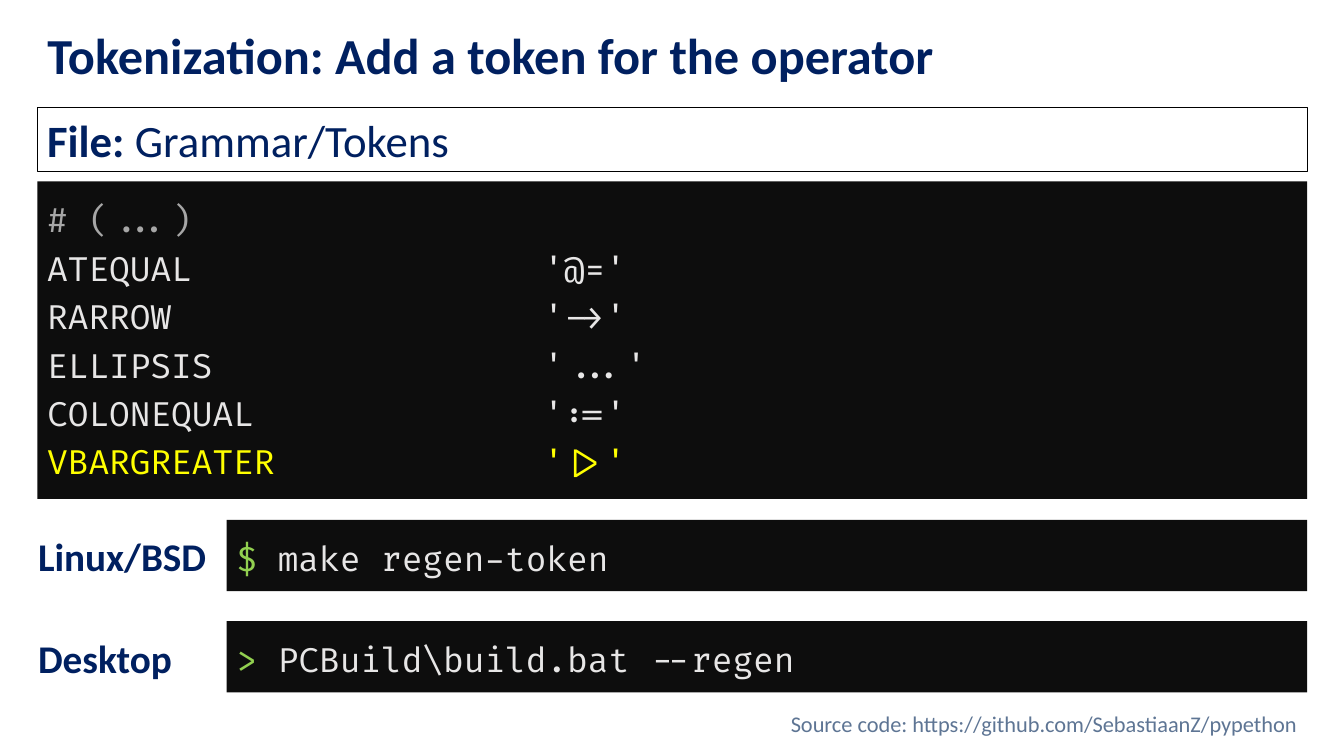
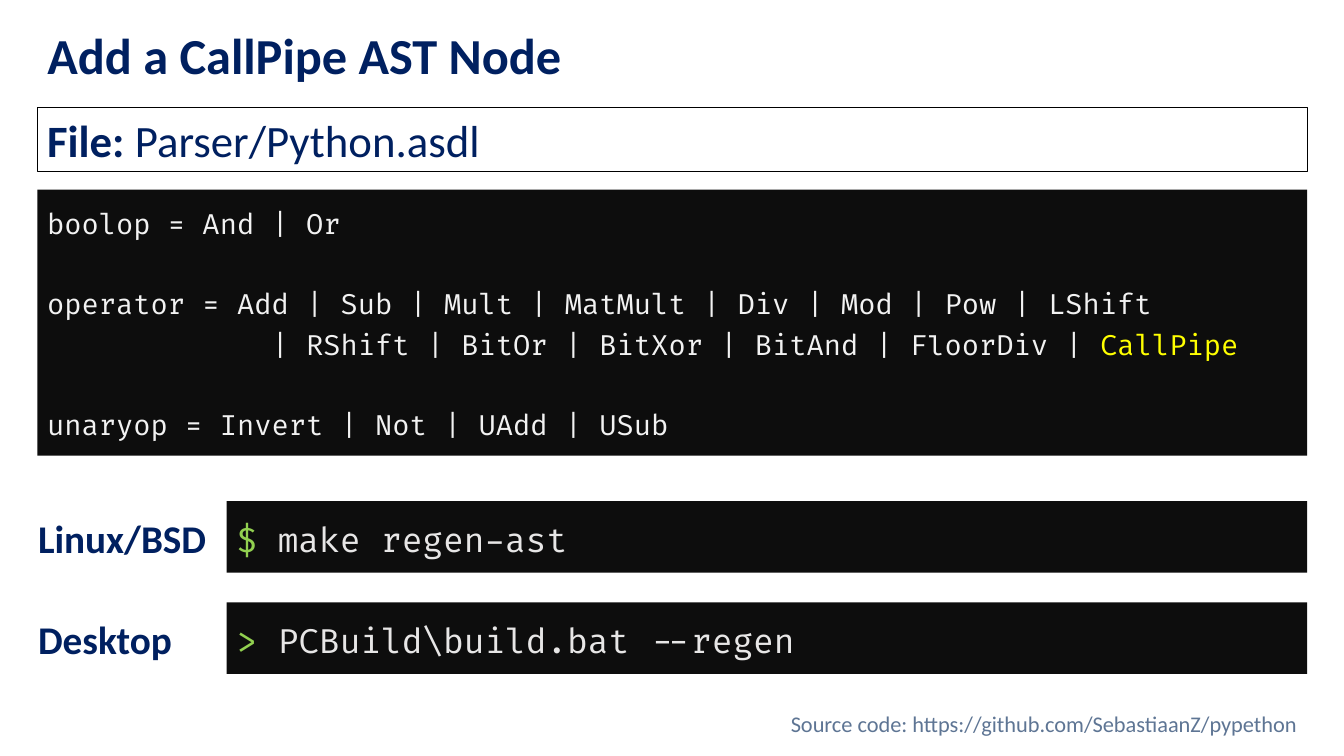
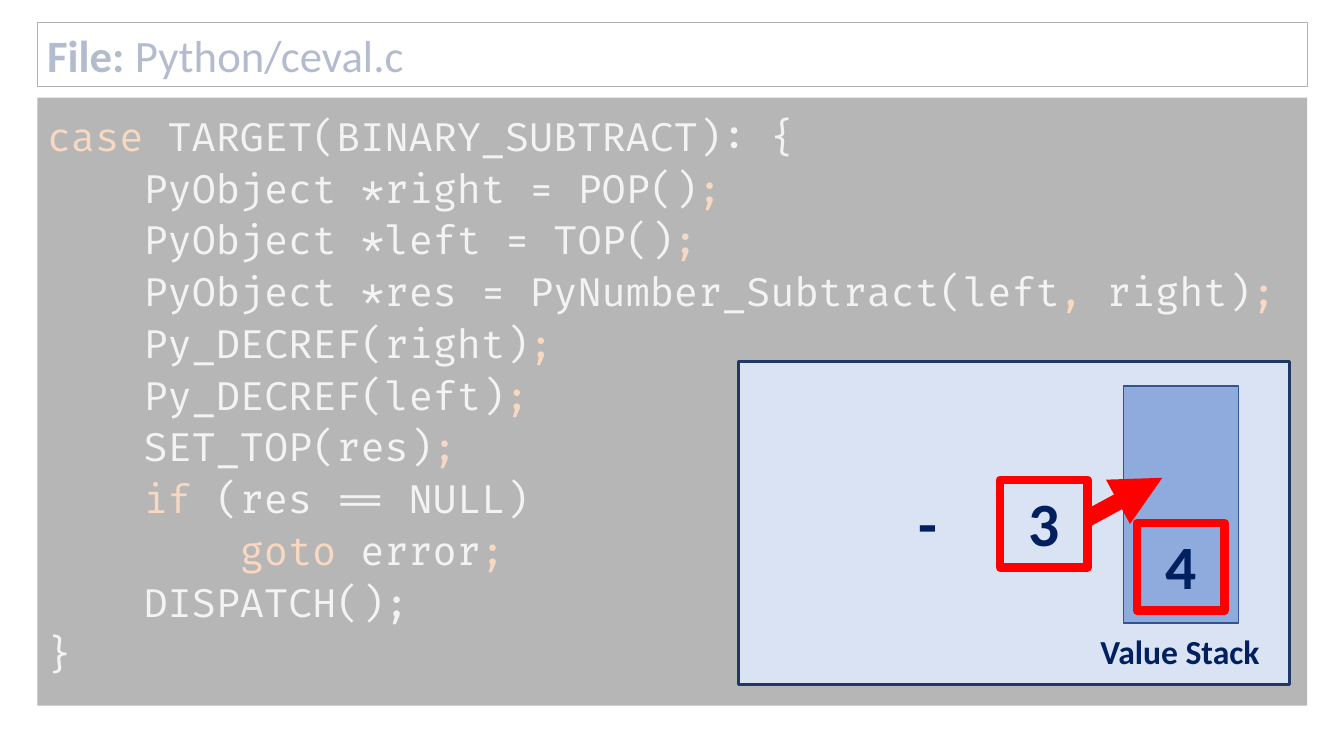
import itertools

import pptx
import pptx.dml.color
import pptx.enum.dml
import pptx.enum.shapes
import pptx.enum.text
import pptx.oxml.ns
import pptx.util
from lxml import etree
from pptx.util import Cm, Pt

TEXT_FONT = "Calibri"
CODE_FONT = "Fira Code"
NAVY = "002060"
BLACK = "000000"
WHITE = "FFFFFF"
CODE_BACK = "0D0D0D"
CODE_LIGHT = "E7E6E6"
CODE_PALE = "F2F2F2"
CODE_SILVER = "D9D9D9"
CODE_GREY = "A6A6A6"
YELLOW = "FFFF00"
GREEN = "92D050"
ORANGE = "ED7D31"
RED = "FF0000"
FOOTER_BLUE = "5E7594"

SLIDE_WIDTH, SLIDE_HEIGHT = 33.87, 19.05
MARGIN = 0.94
CONTENT_WIDTH = 32
BAR_HEIGHT = 1.6
COMMAND_LEFT = 5.71
COMMAND_HEIGHT = 1.8
COMMAND_STEP = 2.55
BOX_SIZE = 2.21
TITLE_ONLY, BLANK = 5, 6


def rgb(value):
    return pptx.dml.color.RGBColor.from_string(value)


def set_font(font, name, size, colour=None, bold=None):
    font.name = name
    font.size = Pt(size)
    font.bold = bold
    if colour:
        font.color.rgb = rgb(colour)


def add_rectangle(slide, left, top, width, height, fill=None, line=None, line_width=0.75):
    shape = slide.shapes.add_shape(
        pptx.enum.shapes.MSO_SHAPE.RECTANGLE, Cm(left), Cm(top), Cm(width), Cm(height))
    shape.shadow.inherit = False
    if fill:
        shape.fill.solid()
        shape.fill.fore_color.rgb = rgb(fill)
    else:
        shape.fill.background()
    if line:
        shape.line.color.rgb = rgb(line)
        shape.line.width = Pt(line_width)
    else:
        shape.line.fill.background()
    shape.text_frame.vertical_anchor = pptx.enum.text.MSO_ANCHOR.TOP
    return shape


def write_line(shape, text, size, colour=NAVY, bold=True, align="LEFT", wrap=False):
    """Fill a shape with one paragraph in the text font."""
    shape.text_frame.word_wrap = wrap
    paragraph = shape.text_frame.paragraphs[0]
    paragraph.text = text
    paragraph.alignment = pptx.enum.text.PP_ALIGN[align]
    set_font(paragraph.font, TEXT_FONT, size, colour, bold)


def add_label(slide, text, left, top, width, height, size, **style):
    label = slide.shapes.add_textbox(Cm(left), Cm(top), Cm(width), Cm(height))
    write_line(label, text, size, **style)


def add_title(slide, text):
    title = slide.shapes.title
    title.left, title.top = Cm(MARGIN), Cm(0.66)
    title.width, title.height = Cm(CONTENT_WIDTH), Cm(BAR_HEIGHT)
    title.text_frame.auto_size = pptx.enum.text.MSO_AUTO_SIZE.NONE
    title.text_frame.vertical_anchor = pptx.enum.text.MSO_ANCHOR.MIDDLE
    write_line(title, text, 36, wrap=True)
    title.text_frame.paragraphs[0].line_spacing = 0.9


def add_file_bar(slide, file_name, top):
    bar = add_rectangle(slide, MARGIN, top, CONTENT_WIDTH, BAR_HEIGHT, line=BLACK)
    paragraph = bar.text_frame.paragraphs[0]
    paragraph.alignment = pptx.enum.text.PP_ALIGN.LEFT
    set_font(paragraph.font, TEXT_FONT, 32, NAVY)
    for text, bold in (("File: ", True), (file_name, False)):
        run = paragraph.add_run()
        run.text = text
        run.font.bold = bold


def add_code(slide, lines, left, top, width, height, size, spacing=1.2, gap_lines=(), gap=0):
    """Draw code lines made of (text, colour) runs, with a gap before gap_lines."""
    box = add_rectangle(slide, left, top, width, height, fill=CODE_BACK)
    frame = box.text_frame
    frame.word_wrap = True
    frame.margin_left = frame.margin_right = Cm(0.25)
    frame.margin_top = frame.margin_bottom = Cm(0.25)
    for index, runs in enumerate(lines):
        paragraph = frame.add_paragraph() if index else frame.paragraphs[0]
        paragraph.alignment = pptx.enum.text.PP_ALIGN.LEFT
        paragraph.line_spacing = spacing
        if index in gap_lines:
            paragraph.space_before = Pt(gap)
        set_font(paragraph.font, CODE_FONT, size)
        for text, colour in runs:
            run = paragraph.add_run()
            run.text = text
            run.font.color.rgb = rgb(colour)


def add_commands(slide, unix_command, top):
    commands = (("Linux/BSD", "$ ", unix_command),
                ("Desktop", "> ", r"PCBuild\build.bat --regen"))
    for index, (system, prompt, command) in enumerate(commands):
        row_top = top + index * COMMAND_STEP
        add_code(slide, [[(prompt, GREEN), (command, CODE_LIGHT)]], COMMAND_LEFT, row_top,
                 MARGIN + CONTENT_WIDTH - COMMAND_LEFT, COMMAND_HEIGHT, 24)
        add_label(slide, system, 0.71, row_top + 0.2, 4.9, 1.45, 28)


def add_file_slide(presentation, title, file_name, unix_command, command_top):
    slide = presentation.slides.add_slide(presentation.slide_layouts[TITLE_ONLY])
    add_title(slide, title)
    add_file_bar(slide, file_name, 2.72)
    add_commands(slide, unix_command, command_top)
    add_label(slide, "Source code: https://github.com/SebastiaanZ/pypethon",
              MARGIN, 17.78, CONTENT_WIDTH, 1.02, 16,
              colour=FOOTER_BLUE, bold=False, align="RIGHT", wrap=True)
    return slide


def add_veil(slide, opacity):
    """Fade everything drawn so far under a translucent white sheet."""
    veil = add_rectangle(slide, 0, 0, SLIDE_WIDTH, SLIDE_HEIGHT, fill=WHITE)
    colour = veil.fill._xPr.find(".//" + pptx.oxml.ns.qn("a:srgbClr"))
    etree.SubElement(colour, pptx.oxml.ns.qn("a:alpha"), val=str(opacity * 1000))


def add_arrow(slide, start, end, colour, width):
    arrow = slide.shapes.add_connector(
        pptx.enum.shapes.MSO_CONNECTOR.STRAIGHT, *map(Cm, start + end))
    arrow.line.color.rgb = rgb(colour)
    arrow.line.width = Pt(width)
    etree.SubElement(arrow.line._get_or_add_ln(), pptx.oxml.ns.qn("a:tailEnd"), type="triangle")
    etree.SubElement(arrow._element.spPr, pptx.oxml.ns.qn("a:effectLst"))


def add_value_box(slide, text, left, top):
    box = add_rectangle(slide, left, top, BOX_SIZE, BOX_SIZE, line=RED, line_width=6)
    write_line(box, text, 44, align="CENTER")


def build_token_slide(presentation):
    slide = add_file_slide(presentation, "Tokenization: Add a token for the operator",
                           "Grammar/Tokens", "make regen-token", 13.1)
    lines = [[("# (...)", CODE_GREY)],
             [("ATEQUAL                 '@='", CODE_LIGHT)],
             [("RARROW                  '->'", CODE_LIGHT)],
             [("ELLIPSIS                '...'", CODE_LIGHT)],
             [("COLONEQUAL              ':='", CODE_LIGHT)],
             [("VBARGREATER             '|>'", YELLOW)]]
    add_code(slide, lines, MARGIN, 4.57, CONTENT_WIDTH, 8, 24)


def build_node_slide(presentation):
    slide = add_file_slide(presentation, "Add a CallPipe AST Node",
                           "Parser/Python.asdl", "make regen-ast", 12.63)
    lines = [[("boolop = And | Or", CODE_PALE)],
             [("operator = Add | Sub | Mult | MatMult | Div | Mod | Pow | LShift", CODE_PALE)],
             [("             | RShift | BitOr | BitXor | BitAnd | FloorDiv | ", CODE_PALE),
              ("CallPipe", YELLOW)],
             [("unaryop = Invert | Not | UAdd | USub", CODE_PALE)]]
    add_code(slide, lines, MARGIN, 4.78, CONTENT_WIDTH, 6.7, 20, gap_lines=(1, 3), gap=28.8)


def build_stack_slide(presentation):
    slide = presentation.slides.add_slide(presentation.slide_layouts[BLANK])
    # Segments alternate between plain and accent colour.
    segments = [("", "case ", "TARGET(BINARY_SUBTRACT): {"),
                ("    PyObject *right = POP()", ";"),
                ("    PyObject *left = TOP()", ";"),
                ("    PyObject *res = PyNumber_Subtract(left", ",", " right)", ";"),
                ("    Py_DECREF(right)", ";"),
                ("    Py_DECREF(left)", ";"),
                ("    SET_TOP(res)", ";"),
                ("    ", "if", " (res == NULL)"),
                ("        ", "goto", " error", ";"),
                ("    DISPATCH();",),
                ("}",)]
    lines = [[(text, colour)
              for text, colour in zip(line, itertools.cycle((CODE_SILVER, ORANGE))) if text]
             for line in segments]
    add_code(slide, lines, MARGIN, 2.46, CONTENT_WIDTH, 15.32, 28, spacing=1.1)
    add_file_bar(slide, "Python/ceval.c", 0.58)
    add_veil(slide, 70)

    add_rectangle(slide, 18.62, 9.12, 13.87, 8.13, "DAE3F3", "203864", 2.25)
    add_rectangle(slide, 28.32, 9.73, 2.9, 5.97, "8FAADC", "325491", 1)
    add_label(slide, "Value Stack", 27.48, 15.77, 4.57, 1.27, 24)
    add_value_box(slide, "4", 28.65, 13.18)
    add_label(slide, "-", 22.28, 12.09, BOX_SIZE, BOX_SIZE, 44, align="CENTER")
    add_value_box(slide, "3", 25.2, 12.09)
    add_arrow(slide, (27.41, 13.06), (29.29, 12.04), RED, 12)


def main():
    presentation = pptx.Presentation()
    presentation.slide_width = Cm(SLIDE_WIDTH)
    presentation.slide_height = Cm(SLIDE_HEIGHT)
    build_token_slide(presentation)
    build_node_slide(presentation)
    build_stack_slide(presentation)
    presentation.save("out.pptx")


if __name__ == "__main__":
    main()
